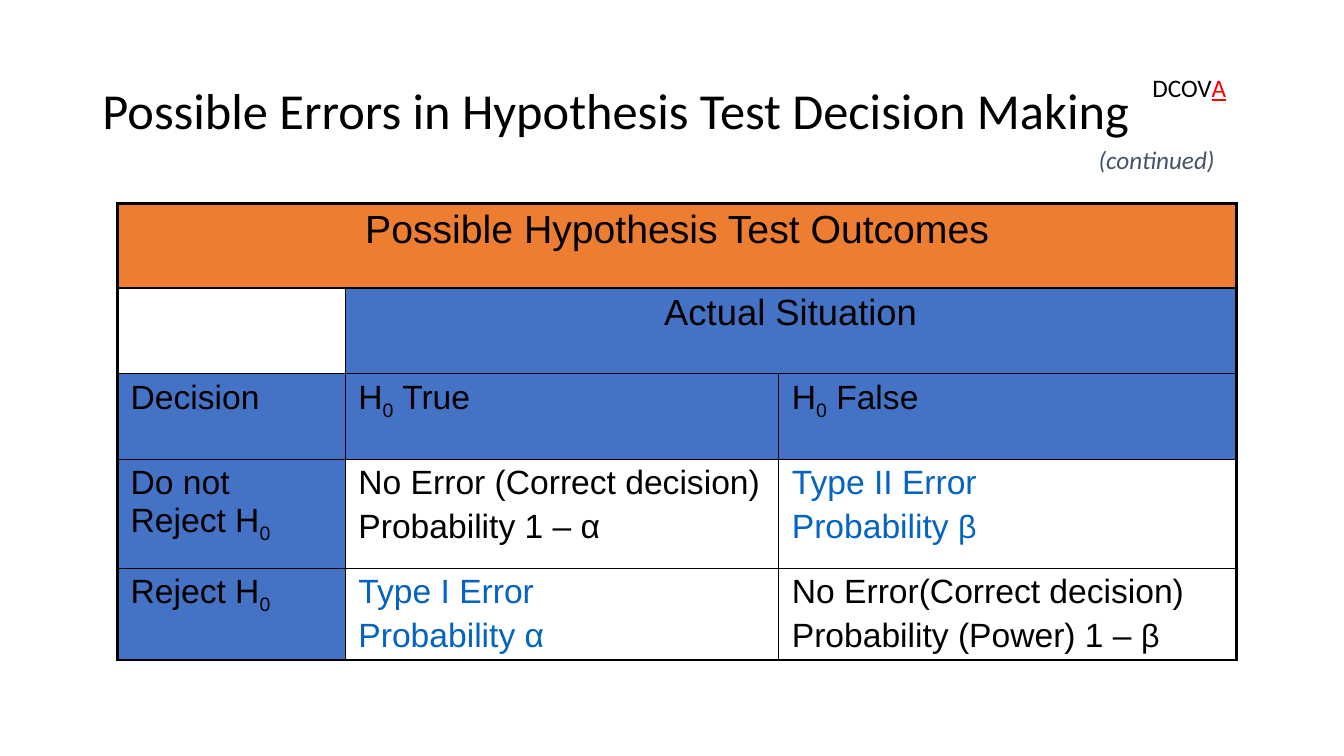
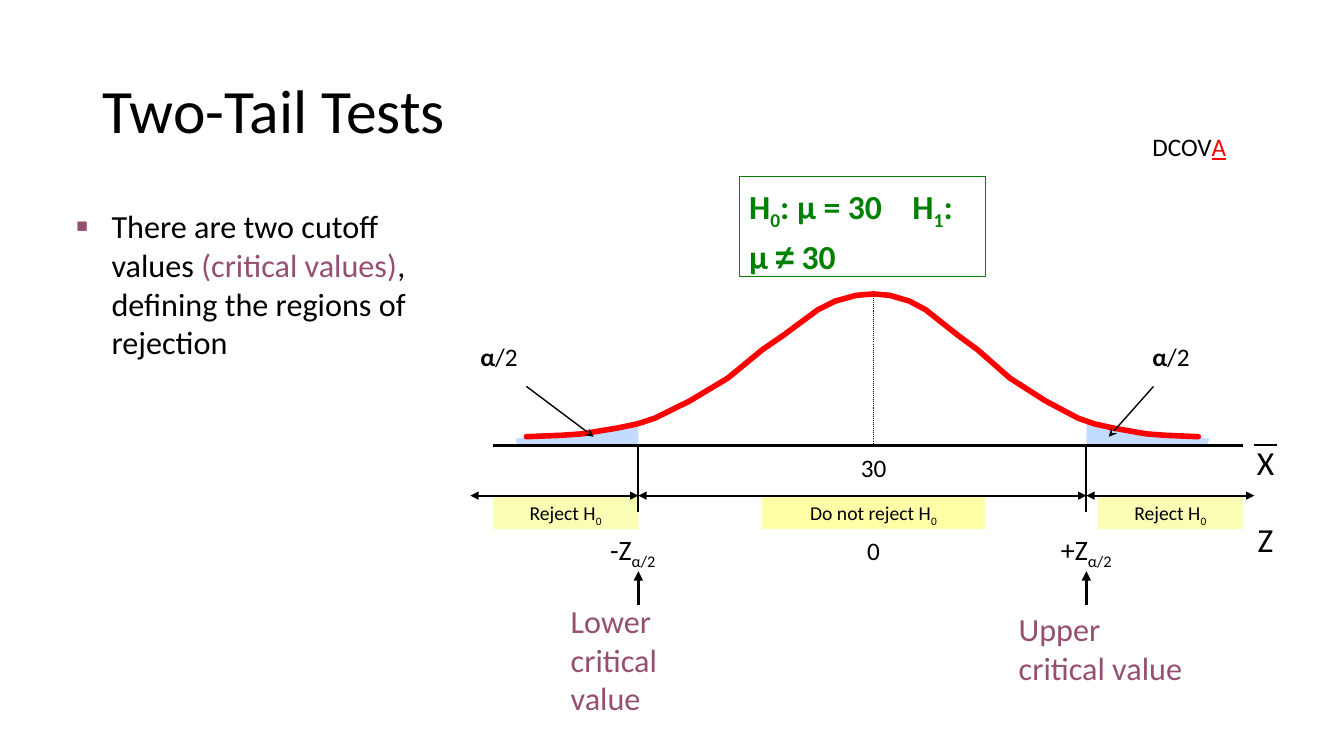
from dataclasses import dataclass

from lxml import etree
from pptx import Presentation
from pptx import util as u
from pptx.dml.color import RGBColor
from pptx.enum import dml, shapes, text
from pptx.oxml.ns import qn

COLORS = {
    "black": "000000", "red": "FF0000", "slate": "44546A", "orange": "ED7D31",
    "blue": "4472C4", "link": "0563C1", "plum": "954F72", "green": "008000",
    "tail": "C3DBFF", "accept": "FFFFA7", "reject": "FAFEB4",
}
COLS, ROWS = 120, 90          # the slide's grid
WIDTH, HEIGHT = u.Inches(40 / 3), u.Inches(7.5)
CENTER, LEFT = text.PP_ALIGN.CENTER, text.PP_ALIGN.LEFT


@dataclass
class Region:
    """A box on the grid; positions inside it count from its corner."""
    col: float
    row: float
    cols: float
    rows: float

    def point(self, col, row):
        return (round((self.col + col) * WIDTH / COLS),
                round((self.row + row) * HEIGHT / ROWS))

    def area(self, col, row, cols, rows):
        return Region(self.col + col, self.row + row, cols, rows)

    def bounds(self):
        return (*self.point(0, 0), round(self.cols * WIDTH / COLS),
                round(self.rows * HEIGHT / ROWS))


SLIDE = Region(0, 0, COLS, ROWS)
SUB = {"base": -25}


def rgb(name):
    return RGBColor.from_string(COLORS[name])


def child(parent, tag, **attributes):
    return etree.SubElement(parent, qn(tag), attributes)


# Text
def write(frame, paragraphs, align=LEFT, spacing=None, gap=0, margins=None,
          anchor=text.MSO_ANCHOR.TOP, wrap=True, **font):
    """Fill a frame; a paragraph is a string or a list of strings and (string, format)."""
    if hasattr(frame, "auto_size"):
        frame.auto_size = text.MSO_AUTO_SIZE.NONE
        frame.word_wrap = wrap
        frame.vertical_anchor = anchor
    if margins:
        (frame.margin_left, frame.margin_top,
         frame.margin_right, frame.margin_bottom) = map(u.Inches, margins)
    for index, runs in enumerate(paragraphs):
        paragraph = frame.add_paragraph() if index else frame.paragraphs[0]
        paragraph.alignment = align
        paragraph.space_before = u.Pt(gap if index else 0)
        if spacing:
            paragraph.line_spacing = spacing
        for piece in [runs] if isinstance(runs, str) else runs:
            words, change = (piece, {}) if isinstance(piece, str) else piece
            add_run(paragraph, words, **{**font, **change})


def add_run(paragraph, words, size=18, color="black", face="Calibri",
            bold=False, italic=False, underline=False, base=0):
    run = paragraph.add_run()
    run.text = words
    font = run.font
    font.size, font.name = u.Pt(size), face
    font.bold, font.italic, font.underline = bold, italic, underline
    font.color.rgb = rgb(color)
    if base:
        run._r.get_or_add_rPr().set("baseline", str(base * 1000))


def label(slide, region, *paragraphs, **fmt):
    box = slide.shapes.add_textbox(*region.bounds())
    write(box.text_frame, paragraphs, **fmt)


def panel(slide, region, runs, fill=None, outline=None, **fmt):
    shape = slide.shapes.add_shape(shapes.MSO_SHAPE.RECTANGLE, *region.bounds())
    paint(shape, fill, outline, 0.75)
    write(shape.text_frame, [runs], **fmt)


# Lines and outlines
def paint(shape, fill=None, outline=None, weight=1):
    shape.shadow.inherit = False
    if fill:
        shape.fill.solid()
        shape.fill.fore_color.rgb = rgb(fill)
    else:
        shape.fill.background()
    if outline:
        shape.line.color.rgb = rgb(outline)
        shape.line.width = u.Pt(weight)
    else:
        shape.line.fill.background()


def draw_line(slide, region, start, end, weight, head=None, tail=None, dash=None):
    line = slide.shapes.add_connector(
        shapes.MSO_CONNECTOR.STRAIGHT, *region.point(*start), *region.point(*end))
    line.line.color.rgb = rgb("black")
    line.line.width = u.Pt(weight)
    if dash:
        line.line.dash_style = dash
    properties = line._element.spPr
    for tag, kind in (("a:headEnd", head), ("a:tailEnd", tail)):
        if kind:
            child(properties.find(qn("a:ln")), tag, type=kind)
    child(properties, "a:effectLst")


def draw_outline(slide, region, points, closed, **look):
    first, *rest = [region.point(*point) for point in points]
    builder = slide.shapes.build_freeform(*first)
    builder.add_line_segments(rest, close=closed)
    shape = builder.convert_to_shape()
    paint(shape, **look)
    if not closed:
        shape._element.spPr.find(qn("a:ln")).set("cap", "rnd")


# Parts that both slides share
def start_slide(deck, layout, title, size, mark_row):
    slide = deck.slides.add_slide(deck.slide_layouts[layout])
    heading = slide.shapes.title
    heading.left, heading.top, heading.width, heading.height = (
        SLIDE.area(8.25, 4.8, 103.5, 17.4).bounds())
    write(heading.text_frame, [title], size=size, spacing=0.9,
          anchor=text.MSO_ANCHOR.MIDDLE)
    label(slide, SLIDE.area(102, mark_row, 8.4, 4.8),
          ["DCOV", ("A", {"color": "red", "underline": True})], wrap=False)
    return slide


# Table of outcomes
def add_borders(cell, row, col, last_row, last_col):
    outer = {"a:lnL": col == 0, "a:lnR": col + cell.span_width - 1 == last_col,
             "a:lnT": row == 0, "a:lnB": row == last_row}
    properties = cell._tc.get_or_add_tcPr()
    for tag, thick in outer.items():
        edge = child(properties, tag, w=str(u.Pt(2.25 if thick else 1)))
        child(child(edge, "a:solidFill"), "a:srgbClr", val=COLORS["black"])


def outcome_table(slide, region):
    null = ("0", SUB)
    beta = ("β", {"size": 23})
    # row, column, fill, paragraphs, format
    entries = [
        (0, 0, "orange", ["Possible Hypothesis Test Outcomes"], {"size": 28, "align": CENTER}),
        (1, 0, None, [], {}),
        (1, 1, "blue", ["Actual Situation"], {"size": 26, "align": CENTER}),
        (2, 0, "blue", ["Decision"], {}),
        (2, 1, "blue", [["H", null, " True"]], {}),
        (2, 2, "blue", [["H", null, " False"]], {}),
        (3, 0, "blue", [["Do not Reject H", null]], {}),
        (3, 1, None, ["No Error (Correct decision)", "Probability 1 – α"], {}),
        (3, 2, None, ["Type II Error", ["Probability ", beta]], {"color": "link"}),
        (4, 0, "blue", [["Reject H", null]], {}),
        (4, 1, None, ["Type I Error", "Probability α"], {"color": "link"}),
        (4, 2, None, ["No Error(Correct decision)",
                      ["Probability (Power) 1 – ", beta]], {}),
    ]
    widths, heights = (2.26, 4.3, 4.54), (0.84, 0.85, 0.85, 1.08, 0.9)
    table = slide.shapes.add_table(len(heights), len(widths), *region.bounds()).table
    table.first_row = table.horz_banding = False
    for column, width in zip(table.columns, widths):
        column.width = u.Inches(width)
    for row, height in zip(table.rows, heights):
        row.height = u.Inches(height)
    table.cell(0, 0).merge(table.cell(0, 2))
    table.cell(1, 1).merge(table.cell(1, 2))
    for row, col, fill, paragraphs, fmt in entries:
        cell = table.cell(row, col)
        add_borders(cell, row, col, len(heights) - 1, len(widths) - 1)
        if fill:
            cell.fill.solid()
            cell.fill.fore_color.rgb = rgb(fill)
        else:
            cell.fill.background()
        cell.margin_left = cell.margin_right = u.Inches(0.13)
        cell.margin_top = cell.margin_bottom = u.Inches(0.05)
        write(cell.text_frame, paragraphs,
              **{"size": 24, "face": "Arial", "gap": 4.8, **fmt})


def errors_slide(deck):
    slide = start_slide(deck, 5, "Possible Errors in Hypothesis Test Decision Making", 36, 8)
    outcome_table(slide, SLIDE.area(10.5, 24.2, 99.9, 54.2))
    label(slide, SLIDE.area(97.2, 16.6, 12.3, 4.8), "(continued)",
          color="slate", italic=True, wrap=False)


# Bullet list
def cutoff_list(slide, region):
    body = slide.placeholders[1]
    body.left, body.top, body.width, body.height = region.bounds()
    write(body.text_frame,
          [["There are two cutoff values ", ("(critical values)", {"color": "plum"}),
            ", defining the regions of rejection"]],
          size=23, margins=(0.09, 0.05, 0.09, 0.05))
    properties = body.text_frame.paragraphs[0]._p.get_or_add_pPr()
    properties.set("marL", str(u.Inches(0.35)))
    properties.set("indent", str(-u.Inches(0.35)))
    child(child(properties, "a:buClr"), "a:srgbClr", val=COLORS["plum"])
    child(properties, "a:buSzPct", val="60000")
    child(properties, "a:buFont", typeface="Arial")
    child(properties, "a:buChar", char="■")


# Bell curve with its two rejection regions
def hypotheses(slide, region):
    panel(slide, region,
          ["H", ("0", SUB), ": μ = 30\tH", ("1", SUB), ": μ ",
           ("≠", {"face": "Arial"}), " 30"],
          outline="green", size=24, color="green", bold=True, spacing=1.1,
          margins=(0.1, 0.05, 0.2, 0.05))
    properties = slide.shapes[-1].text_frame.paragraphs[0]._p.get_or_add_pPr()
    child(child(properties, "a:tabLst"), "a:tab", pos=str(u.Inches(1.62)), algn="l")


def bell_curve(slide, region):
    lower, mean, upper = 15, 36, 55
    axis, decision, peak, foot = 32, 38, 14, 31
    # share of the half width from the mean, share of the drop from the peak
    profile = [(1, 1), (0.9, 0.99), (0.84, 0.98), (0.79, 0.96), (0.74, 0.94),
               (0.68, 0.91), (0.63, 0.87), (0.53, 0.75), (0.42, 0.59),
               (0.32, 0.39), (0.26, 0.29), (0.21, 0.2), (0.16, 0.11),
               (0.11, 0.05), (0.05, 0.01), (0, 0)]
    # distance outward from the critical value, row
    tail = [(10.8, 31.9), (11, 31.2), (6.1, 30.8), (3, 30.1), (1.5, 29.8),
            (0, 29), (0, axis), (10.8, axis)]

    # Decision bands
    for col, cols, words, fill in ((26, 20, "Do not reject H", "accept"),
                                   (2, 13, "Reject H", "reject"),
                                   (56, 13, "Reject H", "reject")):
        panel(slide, region.area(col, decision, cols, 4), [words, ("0", SUB)],
              fill=fill, size=14, align=CENTER)

    # Tails under the curve, then the curve's halves
    for side, critical, half in ((-1, lower, 31), (1, upper, 29)):
        draw_outline(slide, region, [(critical + side * x, y) for x, y in tail],
                     True, fill="tail")
        draw_outline(slide, region,
                     [(mean + side * half * x, peak + (foot - peak) * y)
                      for x, y in profile],
                     False, outline="red", weight=4)

    # Axis, mean and overbar
    draw_line(slide, region, (2, axis), (69, axis), 2)
    draw_line(slide, region, (mean, peak), (mean, axis), 0.75,
              dash=dml.MSO_LINE.ROUND_DOT)
    draw_line(slide, region, (70, axis), (72, axis), 1.5)

    # Ranges along the decision line
    for start, end in ((0, lower), (lower, upper), (upper, 70)):
        draw_line(slide, region, (start, decision), (end, decision), 1.5,
                  head="triangle", tail="triangle")

    # Marks at each critical value
    for critical in (lower, upper):
        draw_line(slide, region, (critical, axis), (critical, 40), 1.5)
        draw_line(slide, region, (critical, 51), (critical, 47), 2.25, tail="triangle")
    for col, start, end in ((0, 5, 11), (60, 61, 57)):
        label(slide, region.area(col, 19, 10, 4.8), [("α", {"bold": True}), "/2"])
        draw_line(slide, region, (start, 25), (end, foot), 1, tail="stealth")
    for col, cols, sign in ((10, 9, "-Z"), (50, 10, "+Z")):
        label(slide, region.area(col, 41.8, cols, 5.2), [sign, ("α/2", SUB)],
              size=20, align=CENTER)
    for col, row, cols, words in ((5, 50, 19, "Lower critical value"),
                                  (45, 51, 20, "Upper critical value")):
        label(slide, region.area(col, row, cols, 15), words, size=23, color="plum",
              margins=(0.44, 0.05, 0.09, 0.05))

    # Values on the two scales
    for col, row, words, size in ((33, 32.2, "30", 18), (33, 42.2, "0", 18),
                                  (68, 31, "X", 24), (68, 40.2, "Z", 24)):
        label(slide, region.area(col, row, 6, 5), words, size=size, align=CENTER)


def two_tail_slide(deck):
    slide = start_slide(deck, 1, "Two-Tail Tests", 44, 15)
    cutoff_list(slide, SLIDE.area(6, 24, 35, 35))
    diagram = SLIDE.area(42, 21, 74, 66)
    bell_curve(slide, diagram)
    hypotheses(slide, diagram.area(24, 0, 22, 11.9))


def main():
    deck = Presentation()
    deck.slide_width, deck.slide_height = WIDTH, HEIGHT
    errors_slide(deck)
    two_tail_slide(deck)
    deck.save("out.pptx")


if __name__ == "__main__":
    main()
